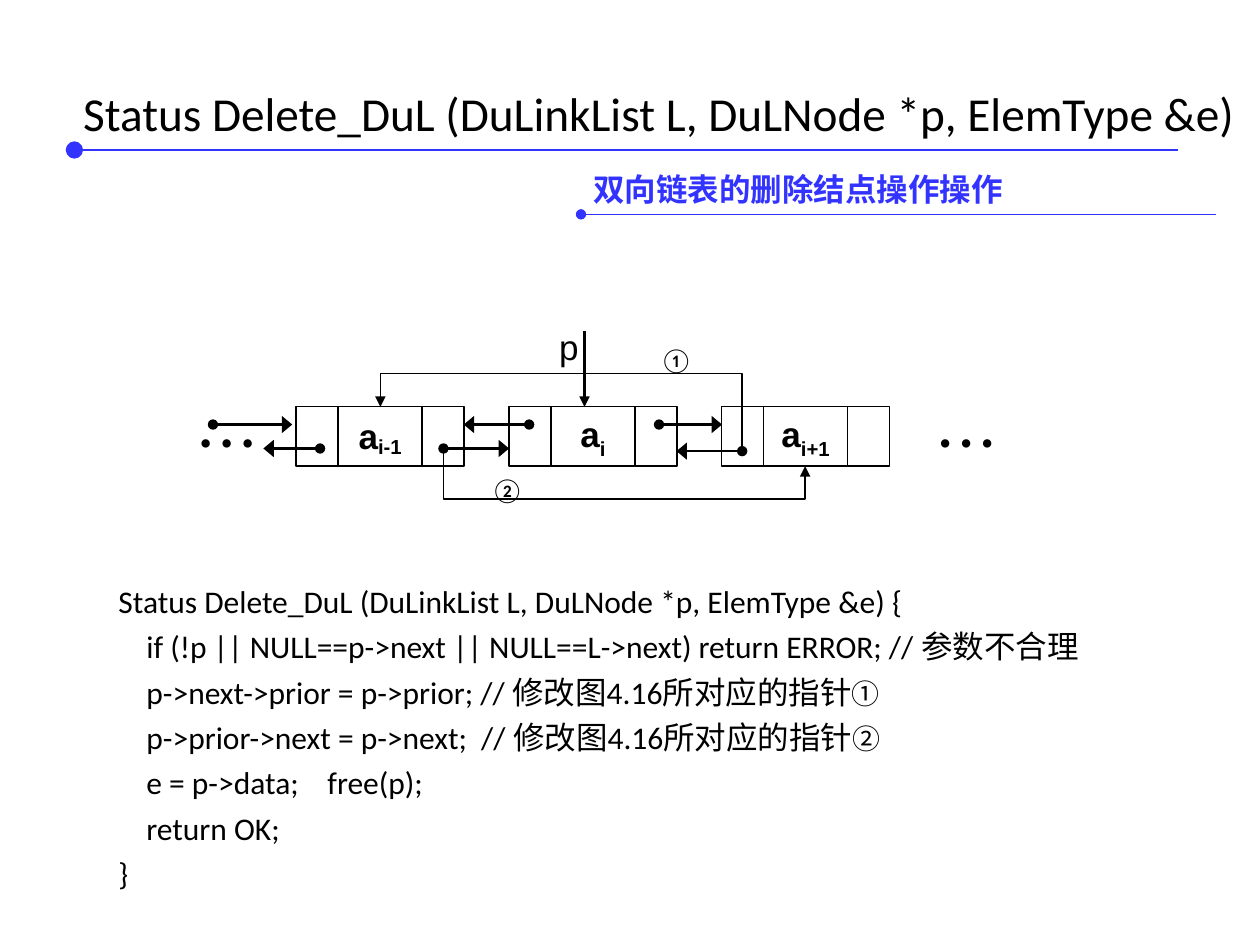
"""Build the slide on deleting a node from a doubly linked list."""
from lxml.etree import SubElement
from pptx import Presentation
from pptx.dml.color import RGBColor
from pptx.enum.shapes import MSO_CONNECTOR as LINK, MSO_SHAPE
from pptx.enum.text import MSO_ANCHOR, MSO_AUTO_SIZE, PP_ALIGN
from pptx.oxml.ns import qn
from pptx.util import Pt

BLUE = RGBColor(0x33, 0x33, 0xFF)
BLACK = RGBColor(0, 0, 0)
WHITE = RGBColor(255, 255, 255)

deck = Presentation()
deck.slide_width, deck.slide_height = Pt(720), Pt(540)
slide = deck.slides.add_slide(deck.slide_layouts[1])
shapes = slide.shapes


def add_link(start, end, color, width, head=None, tail=None, kind=LINK.STRAIGHT):
    link = shapes.add_connector(kind, *(Pt(v) for v in (*start, *end)))
    link.line.color.rgb = color
    link.line.width = Pt(width)
    line = link.line._get_or_add_ln()
    for tag, style in (("a:headEnd", head), ("a:tailEnd", tail)):
        if style:
            SubElement(line, qn(tag), **style)
    SubElement(link._element.spPr, qn("a:effectLst"))
    return link


def add_label(text, box, size, font, color=BLACK, bold=False, wrap=False):
    label = shapes.add_textbox(*(Pt(v) for v in box))
    frame = label.text_frame
    frame.word_wrap = wrap
    paragraph = frame.paragraphs[0]
    paragraph.text = text
    paragraph.font.size = Pt(size)
    paragraph.font.name = font
    paragraph.font.bold = bold
    paragraph.font.color.rgb = color
    return frame


DOT = {"type": "oval"}
BIG_DOT = {"type": "oval", "w": "lg", "len": "lg"}
ARROW = {"type": "triangle"}
WIDE_ARROW = {"type": "triangle", "w": "lg", "len": "med"}

title = shapes.title
title.left, title.top, title.width, title.height = Pt(40.3), Pt(52.6), Pt(676), Pt(23)
title.text = "Status Delete_DuL (DuLinkList L, DuLNode *p, ElemType &e)"
title.text_frame.word_wrap = False
title.text_frame.auto_size = MSO_AUTO_SIZE.NONE
title.text_frame.vertical_anchor = MSO_ANCHOR.MIDDLE
title.text_frame.margin_right = Pt(0)
heading = title.text_frame.paragraphs[0]
heading.alignment = PP_ALIGN.LEFT
heading.font.size = Pt(27)
heading.font.name = "Calibri"
heading.font.color.rgb = BLACK

add_link((42.5, 85.7), (673.2, 85.7), BLUE, 1.5, head=BIG_DOT)
add_link((332, 122.5), (694.8, 122.5), BLUE, 0.75, head=DOT)
subtitle = add_label("双向链表的删除结点操作操作", (332, 92.9, 250, 30), 18,
                     "Noto Sans CJK SC", BLUE, bold=True)
subtitle.vertical_anchor = MSO_ANCHOR.MIDDLE

PLAIN = {}
MARK = {"sz": "1600"}
WIDE_GAP = {"spc": "1220"}
code_lines = [
    (0, [("Status Delete_DuL (DuLinkList L, DuLNode *p, ElemType &e) {", PLAIN)]),
    (16, [("if (!p || NULL==p->next || NULL==L->next) return ERROR; // 参数不合理", PLAIN)]),
    (16, [("p->next->prior = p->prior; // 修改图4.16所对应的指针", PLAIN), ("①", MARK)]),
    (16, [("p->prior->next = p->next;  // 修改图4.16所对应的指针", PLAIN), ("②", MARK)]),
    (16, [("e = p->data;", PLAIN), (" ", WIDE_GAP), ("free(p);", PLAIN)]),
    (16, [("return OK;", PLAIN)]),
    (0, [("}", PLAIN)]),
]
code = shapes.placeholders[1]
code.left, code.top, code.width, code.height = Pt(53.3), Pt(324.7), Pt(612.7), Pt(207.4)
listing = code.text_frame
listing.auto_size = MSO_AUTO_SIZE.NONE
listing.margin_left, listing.margin_right = Pt(14.4), Pt(2.9)
for number, (indent, pieces) in enumerate(code_lines):
    row = listing.add_paragraph() if number else listing.paragraphs[0]
    row.line_spacing = 1.2
    row.space_before = Pt(0)
    layout = row._p.get_or_add_pPr()
    layout.set("marL", "0")
    layout.set("indent", str(Pt(indent)))
    SubElement(layout, qn("a:buNone"))
    row.font.size = Pt(18)
    row.font.name = "Calibri"
    row.font.color.rgb = BLACK
    for text, styling in pieces:
        piece = row.add_run()
        piece.text = text
        for key, value in styling.items():
            piece._r.get_or_add_rPr().set(key, value)

node_top, node_height, node_pitch = 232.5, 33.8, 121.6
cells = [(0, 24), (24, 48), (72, 24)]
for node, (subscript, baseline) in enumerate((("i-1", -16000), ("i", -25000), ("i+1", -25000))):
    for offset, width in cells:
        left = 169.2 + node * node_pitch + offset
        cell = shapes.add_shape(MSO_SHAPE.RECTANGLE, Pt(left), Pt(node_top),
                                Pt(width), Pt(node_height))
        cell.shadow.inherit = False
        cell.fill.solid()
        cell.fill.fore_color.rgb = WHITE
        cell.line.color.rgb = BLACK
        cell.line.width = Pt(0.75)
        if width == 48:
            cell.text_frame.word_wrap = False
            element = cell.text_frame.paragraphs[0]
            element.alignment = PP_ALIGN.CENTER
            element.font.size = Pt(20)
            element.font.name = "Arial"
            element.font.bold = True
            element.font.color.rgb = BLACK
            element.add_run().text = "a"
            index = element.add_run()
            index.text = subscript
            index._r.get_or_add_rPr().set("baseline", str(baseline))

for left in (96.5, 519.1):
    ellipsis = add_label("• • •", (left, 239.8, 66.2, 23.8), 20, "Times New Roman")
    ellipsis.margin_top = Pt(0.7)
    ellipsis.paragraphs[0].alignment = PP_ALIGN.CENTER

add_label("p", (312.5, 182.2, 28.8, 31), 20, "Arial", wrap=True)
add_label("①", (370.1, 193.7, 33.1, 23.8), 14, "Calibri")
add_label("②", (273.6, 267.8, 33.1, 23.8), 14, "Calibri")

add_link((334, 189.4), (334, 232.5), BLACK, 1.5, tail=ARROW)
for start_x, end_x, y in (
    (121.7, 167, 242.6), (376.6, 412.6, 242.6), (302.4, 265, 242.6),
    (182.9, 150.5, 256.3), (253.4, 290.9, 256.3), (424.1, 386.6, 257.8),
):
    add_link((start_x, y), (end_x, y), BLACK, 1.5, DOT, WIDE_ARROW)

for (x1, y1), (x2, y2), bend, turn in (
    ((253.4, 256.3), (460.1, 266.4), 2.86, 270),
    ((424.1, 257.8), (217.4, 232.5), 1.75, 90),
):
    center_x, center_y = (x1 + x2) / 2, (y1 + y2) / 2
    half_span, half_rise = abs(x2 - x1) / 2, abs(y2 - y1) / 2
    bypass = add_link((center_x + half_rise, center_y - half_span),
                      (center_x - half_rise, center_y + half_span),
                      BLACK, 0.75, tail=ARROW, kind=LINK.ELBOW)
    outline = bypass._element.spPr
    outline.find(qn("a:xfrm")).set("rot", str(turn * 60000))
    guides = outline.find(qn("a:prstGeom")).find(qn("a:avLst"))
    SubElement(guides, qn("a:gd"), name="adj1", fmla=f"val {round(bend * 100000)}")

deck.save("out.pptx")
